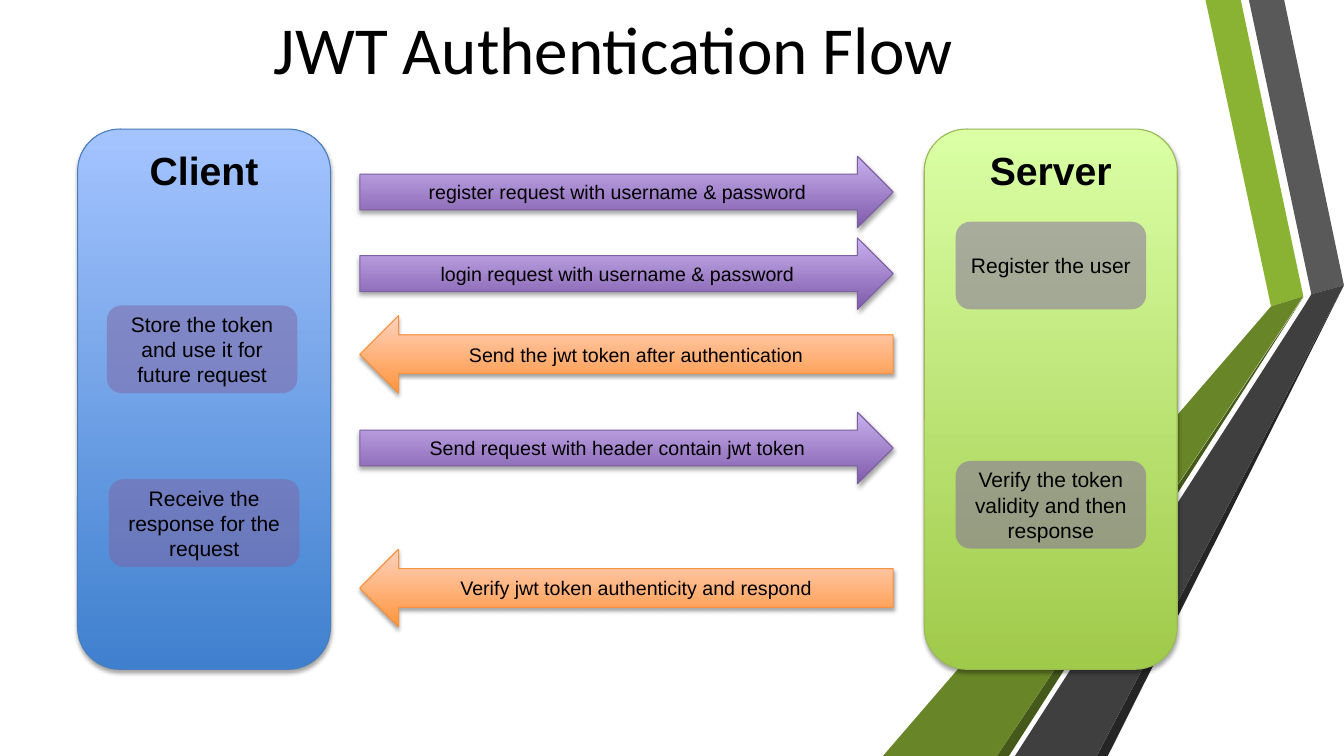
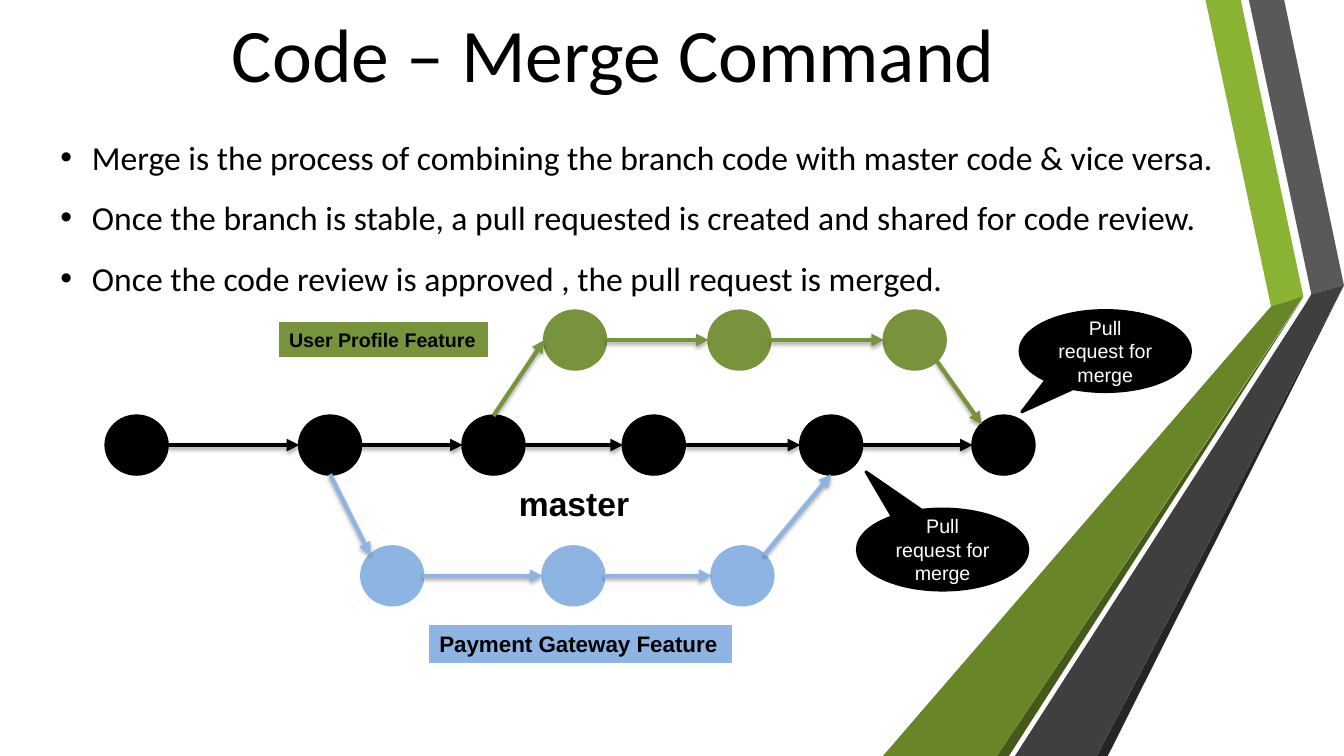
from dataclasses import dataclass
from itertools import pairwise

from pptx import Presentation
from pptx.dml.color import RGBColor
from pptx.enum.shapes import MSO_CONNECTOR, MSO_SHAPE as Shape
from pptx.enum.text import MSO_ANCHOR as Anchor, MSO_AUTO_SIZE as AutoSize, PP_ALIGN as Align
from pptx.oxml import parse_xml
from pptx.oxml.ns import nsdecls, qn
from pptx.util import Pt

BLACK = RGBColor(0x00, 0x00, 0x00)
WHITE = RGBColor(0xFF, 0xFF, 0xFF)
PURPLE = RGBColor(0x80, 0x64, 0xA2)
GREEN = RGBColor(0x77, 0x93, 0x3C)
BLUE = RGBColor(0x8E, 0xB4, 0xE3)
BAND_LIME = RGBColor(0x8A, 0xB3, 0x34)
BAND_GRAY = RGBColor(0x59, 0x59, 0x59)
BAND_SHADE = RGBColor(0x25, 0x25, 0x25)
BAND_MOSS = RGBColor(0x45, 0x5A, 0x1A)
BAND_OLIVE = RGBColor(0x68, 0x86, 0x27)
BAND_CHARCOAL = RGBColor(0x3F, 0x3F, 0x3F)

BODY_FONT = "Arial"
TITLE_FONT = "Calibri"
CIRCLE_W, CIRCLE_H = 44, 41.8
DIAGONAL = 0.71


@dataclass(frozen=True)
class Band:
    color: RGBColor
    points: tuple[tuple[float, float], ...]


@dataclass(frozen=True)
class Gradient:
    bottom: RGBColor
    top: RGBColor
    outline: RGBColor


@dataclass(frozen=True)
class Box:
    text: str
    x: float
    y: float
    w: float
    h: float


@dataclass(frozen=True)
class Arrow:
    text: str
    y: float
    to_server: bool


@dataclass(frozen=True)
class Circle:
    x: float
    y: float
    color: RGBColor

    def site(self, dx: float, dy: float) -> tuple[float, float]:
        return (self.x + CIRCLE_W * (1 + dx) / 2, self.y + CIRCLE_H * (1 + dy) / 2)


BANDS = (
    Band(BAND_LIME, ((886.3, 0), (861.1, 0), (907.9, 218.9), (931, 211.7))),
    Band(BAND_GRAY, ((917.3, 0), (892.1, 0), (936.7, 210.2), (960, 203.8))),
    Band(BAND_SHADE, ((960, 203.8), (783.4, 540), (791.3, 540))),
    Band(BAND_MOSS, ((931, 212.4), (712.1, 540), (720.7, 540))),
    Band(BAND_OLIVE, ((931, 211.7), (907.9, 218.9), (630.7, 540), (712.1, 540))),
    Band(BAND_CHARCOAL, ((960, 203.8), (936.7, 210.2), (932.4, 217.4), (725, 540), (783.4, 540))),
)

SERVER_FILL = Gradient(RGBColor(0xA0, 0xCA, 0x4A), RGBColor(0xDA, 0xFF, 0xA5), RGBColor(0x98, 0xB9, 0x55))
CLIENT_FILL = Gradient(RGBColor(0x3F, 0x80, 0xCE), RGBColor(0xA4, 0xC4, 0xFF), RGBColor(0x4B, 0x7E, 0xBC))
REQUEST_FILL = Gradient(RGBColor(0x7F, 0x5B, 0xAB), RGBColor(0xC8, 0xB0, 0xED), RGBColor(0x7D, 0x60, 0xA0))
RESPONSE_FILL = Gradient(RGBColor(0xFF, 0x95, 0x3E), RGBColor(0xFF, 0xD2, 0xBD), RGBColor(0xF6, 0x92, 0x40))

PANELS = (
    (Box("Server", 660.2, 92.2, 180.7, 385.9), SERVER_FILL),
    (Box("Client", 55.4, 92.2, 180.7, 385.9), CLIENT_FILL),
)
ARROWS = (
    Arrow("register request with username & password", 111.6, True),
    Arrow("login request with username & password", 169.9, True),
    Arrow("Send the jwt token after authentication", 225.4, False),
    Arrow("Send request with header contain jwt token", 294.5, True),
    Arrow("Verify jwt token authenticity and respond", 392.4, False),
)
STEPS = (
    Box("Register the user", 682.6, 158.4, 136.1, 62.6),
    Box("Store the token and use it for future request", 76.3, 218.2, 136.1, 62.6),
    Box("Verify the token validity and then response", 682.6, 329.3, 136.1, 62.6),
    Box("Receive the response for the request", 77.8, 342.3, 136.1, 62.6),
)

MERGE_POINTS = (
    "Merge is the process of combining the branch code with master code & vice versa.",
    "Once the branch is stable, a pull requested is created and shared for code review.",
    "Once the code review is approved , the pull request is merged.",
)
MASTER = [Circle(x, 297, BLACK) for x in (75.6, 213.8, 330.5, 445, 571.7, 694.8)]
PAYMENT = [Circle(x, 390.4, BLUE) for x in (258.2, 387.6, 508.3)]
PROFILE = [Circle(x, 222, GREEN) for x in (388.8, 506.2, 631.4)]
LABELS = (
    (Box("Payment Gateway Feature", 306.7, 446.6, 216, 26.6), BLUE, 16),
    (Box("User Profile Feature", 199.4, 230.4, 148.6, 24.2), GREEN, 14),
)
CALLOUTS = (
    (Box("Pull request for merge", 728.6, 221.8, 121.9, 58), (-0.49, 0.75)),
    (Box("Pull request for merge", 612.4, 363.6, 121.9, 58), (-0.45, -0.96)),
)


def add_shadow(sp) -> None:
    sp.element.spPr.append(parse_xml(
        f'<a:effectLst {nsdecls("a")}><a:outerShdw blurRad="{Pt(3.1)}" dist="{Pt(1.8)}" '
        'dir="5400000" rotWithShape="0"><a:srgbClr val="000000"><a:alpha val="35000"/>'
        '</a:srgbClr></a:outerShdw></a:effectLst>'))


def set_text(sp, text: str, size: float, color: RGBColor = BLACK, bold: bool = False,
             font: str = BODY_FONT, align=Align.CENTER, anchor=Anchor.MIDDLE, wrap: bool = True) -> None:
    tf = sp.text_frame
    tf.text = text
    tf.word_wrap = wrap
    tf.vertical_anchor = anchor
    for p in tf.paragraphs:
        p.alignment = align
        for r in p.runs:
            r.font.name = font
            r.font.size = Pt(size)
            r.font.bold = bold
            r.font.color.rgb = color


def clear_insets(tf) -> None:
    tf.margin_left = tf.margin_top = tf.margin_right = tf.margin_bottom = 0


def add_box(s, kind, box: Box):
    return s.shapes.add_shape(kind, Pt(box.x), Pt(box.y), Pt(box.w), Pt(box.h))


def add_solid(s, kind, box: Box, color: RGBColor, line_width: float = 0):
    sp = add_box(s, kind, box)
    sp.shadow.inherit = False
    sp.fill.solid()
    sp.fill.fore_color.rgb = color
    if line_width:
        sp.line.color.rgb = color
        sp.line.width = Pt(line_width)
    else:
        sp.line.fill.background()
    return sp


def add_gradient(s, kind, box: Box, gradient: Gradient):
    sp = add_box(s, kind, box)
    sp.fill.gradient()
    sp.fill.gradient_angle = 90
    for stop, color in zip(sp.fill.gradient_stops, (gradient.bottom, gradient.top)):
        stop.color.rgb = color
    sp.line.color.rgb = gradient.outline
    sp.line.width = Pt(0.75)
    add_shadow(sp)
    return sp


def add_slide(prs, title: str, size: float):
    s = prs.slides.add_slide(prs.slide_layouts[5])
    sp = s.shapes.title
    sp.left, sp.top, sp.width, sp.height = Pt(48.2), Pt(5), Pt(780), Pt(65.5)
    set_text(sp, title, size, font=TITLE_FONT, anchor=Anchor.TOP)
    sp.text_frame.auto_size = AutoSize.NONE
    clear_insets(sp.text_frame)
    return s


def move_bands_to_layout(s) -> None:
    for band in BANDS:
        start, *rest = [(Pt(x), Pt(y)) for x, y in band.points]
        builder = s.shapes.build_freeform(*start)
        builder.add_line_segments(rest, close=True)
        sp = builder.convert_to_shape()
        sp.shadow.inherit = False
        sp.fill.solid()
        sp.fill.fore_color.rgb = band.color
        sp.line.fill.background()
        s.slide_layout.shapes.element.append(sp.element)


def add_link(s, start: tuple[float, float], end: tuple[float, float], color: RGBColor) -> None:
    link = s.shapes.add_connector(MSO_CONNECTOR.STRAIGHT, *(Pt(v) for v in (*start, *end)))
    link.line.color.rgb = color
    link.line.width = Pt(3)
    link.element.spPr.find(qn("a:ln")).append(parse_xml(f'<a:tailEnd {nsdecls("a")} type="triangle"/>'))
    add_shadow(link)


def add_branch(s, circles: list[Circle]) -> None:
    for circle in circles:
        add_solid(s, Shape.OVAL, Box("", circle.x, circle.y, CIRCLE_W, CIRCLE_H), circle.color, 2)
    for a, b in pairwise(circles):
        add_link(s, a.site(1, 0), b.site(-1, 0), a.color)


def add_bullets(s) -> None:
    sp = s.shapes.add_textbox(Pt(42.2), Pt(83.2), Pt(858.2), Pt(122.4))
    set_text(sp, "\n".join(MERGE_POINTS), 24, font=TITLE_FONT, align=Align.LEFT, anchor=Anchor.TOP)
    clear_insets(sp.text_frame)
    for p in sp.text_frame.paragraphs:
        p.line_spacing = 1.5
    for props in sp.element.iter(qn("a:pPr")):
        props.set("marL", str(Pt(23.5)))
        props.set("indent", str(Pt(-22.5)))
        for bullet in ('<a:buClr {}><a:srgbClr val="000000"/></a:buClr>',
                       '<a:buFont {} typeface="Arial"/>', '<a:buChar {} char="•"/>'):
            props.append(parse_xml(bullet.format(nsdecls("a"))))


def build_jwt_slide(prs) -> None:
    s = add_slide(prs, "JWT Authentication Flow", 48)
    move_bands_to_layout(s)
    for panel, gradient in PANELS:
        sp = add_gradient(s, Shape.ROUNDED_RECTANGLE, panel, gradient)
        set_text(sp, panel.text, 28, bold=True, anchor=Anchor.TOP)
    for arrow in ARROWS:
        kind, gradient, h = ((Shape.RIGHT_ARROW, REQUEST_FILL, 51.1) if arrow.to_server
                             else (Shape.LEFT_ARROW, RESPONSE_FILL, 55.4))
        sp = add_gradient(s, kind, Box(arrow.text, 257, arrow.y, 381, h), gradient)
        set_text(sp, arrow.text, 14)
    for step in STEPS:
        sp = add_solid(s, Shape.ROUNDED_RECTANGLE, step, PURPLE)
        color = sp.element.spPr.find(qn("a:solidFill")).find(qn("a:srgbClr"))
        color.append(parse_xml(f'<a:alpha {nsdecls("a")} val="50000"/>'))
        set_text(sp, step.text, 15)


def build_merge_slide(prs) -> None:
    s = add_slide(prs, "Code – Merge Command", 54)
    add_bullets(s)
    for branch in (MASTER, PAYMENT, PROFILE):
        add_branch(s, branch)
    d = DIAGONAL
    add_link(s, MASTER[1].site(0, 1), PAYMENT[0].site(-d, -d), BLUE)
    add_link(s, PAYMENT[-1].site(d, -d), MASTER[4].site(0, 1), BLUE)
    add_link(s, MASTER[2].site(0, -1), PROFILE[0].site(-1, 0), GREEN)
    add_link(s, PROFILE[-1].site(d, d), MASTER[5].site(-d, -d), GREEN)
    name = s.shapes.add_textbox(Pt(363.6), Pt(341.3), Pt(94.3), Pt(36))
    set_text(name, "master", 24, bold=True, align=Align.LEFT, anchor=Anchor.TOP, wrap=False)
    for label, color, size in LABELS:
        sp = add_solid(s, Shape.RECTANGLE, label, color, 0.75)
        set_text(sp, label.text, size, bold=True, align=Align.LEFT, anchor=Anchor.TOP, wrap=False)
    for callout, tip in CALLOUTS:
        sp = add_solid(s, Shape.OVAL_CALLOUT, callout, BLACK, 2)
        sp.adjustments[0], sp.adjustments[1] = tip
        set_text(sp, callout.text, 14, WHITE)


def main() -> None:
    prs = Presentation()
    prs.slide_width, prs.slide_height = Pt(960), Pt(540)
    build_jwt_slide(prs)
    build_merge_slide(prs)
    prs.save("out.pptx")


if __name__ == "__main__":
    main()
